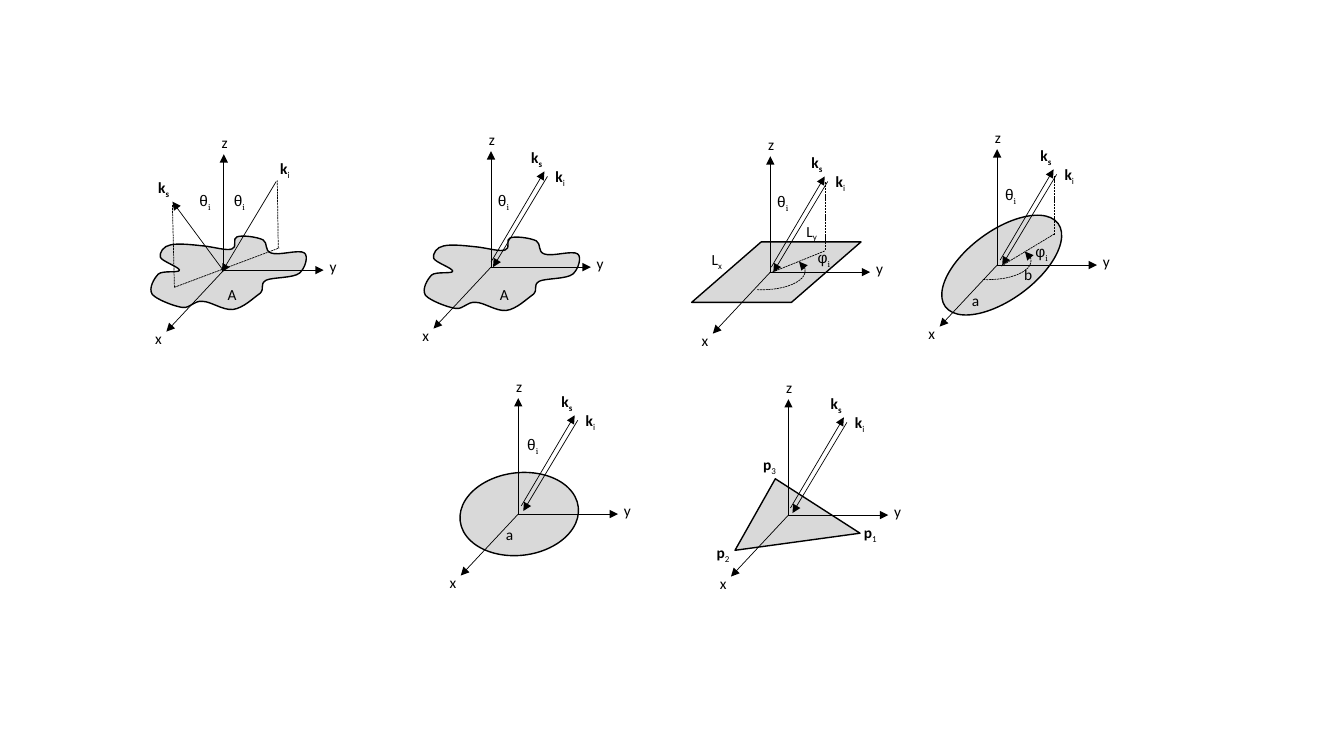
import pptx
import pptx.util
import pptx.dml.color
import pptx.enum.dml
import pptx.enum.shapes
import pptx.enum.text
import pptx.oxml
import pptx.oxml.ns
from pptx.util import Inches

BLACK = pptx.dml.color.RGBColor(0x00, 0x00, 0x00)
GREY = pptx.dml.color.RGBColor(0xD9, 0xD9, 0xD9)
SHAPES = pptx.enum.shapes.MSO_SHAPE
NS = pptx.oxml.ns.nsdecls("a")
GREEK = "θφ"
WIDTHS = {"x": 0.38, "y": 0.35, "z": 0.46, "k": 0.35, "θ": 0.48, "φ": 0.48,
          "A": 0.54, "a": 0.62, "b": 0.62, "L": 0.62, "p": 0.61}
BLOB_CURVES = [
    ((1.13, 0.52), (1.07, 0.48), (1.14, 0.44)),
    ((1.20, 0.41), (1.41, 0.42), (1.47, 0.37)),
    ((1.53, 0.32), (1.56, 0.20), (1.52, 0.17)),
    ((1.47, 0.13), (1.26, 0.20), (1.19, 0.17)),
    ((1.12, 0.15), (1.16, 0.07), (1.11, 0.04)),
    ((1.05, 0.01), (0.90, -0.01), (0.85, 0.01)),
    ((0.80, 0.02), (0.86, 0.12), (0.80, 0.13)),
    ((0.75, 0.15), (0.62, 0.11), (0.52, 0.10)),
    ((0.42, 0.09), (0.27, 0.07), (0.19, 0.09)),
    ((0.12, 0.10), (0.08, 0.17), (0.09, 0.21)),
    ((0.10, 0.25), (0.28, 0.31), (0.28, 0.34)),
    ((0.28, 0.37), (0.11, 0.34), (0.07, 0.38)),
    ((0.03, 0.42), (-0.03, 0.52), (0.01, 0.58)),
    ((0.05, 0.63), (0.23, 0.70), (0.31, 0.71)),
    ((0.39, 0.72), (0.42, 0.64), (0.51, 0.65)),
    ((0.59, 0.65), (0.71, 0.74), (0.81, 0.73)),
    ((0.91, 0.72), (1.02, 0.61), (1.08, 0.57)),
]


def style_line(line, width, dashed=False, arrow=None):
    """Set a black line with an optional dash and arrowhead."""
    line.color.rgb = BLACK
    line.width = pptx.util.Pt(width)
    if dashed:
        line.dash_style = pptx.enum.dml.MSO_LINE.SQUARE_DOT
    if arrow:
        ln = line._get_or_add_ln()
        ln.append(pptx.oxml.parse_xml(f'<a:{arrow} {NS} type="triangle"/>'))


def add_line(s, start, end, dashed=False, arrow=None):
    """Draw a thin straight line between two points."""
    c = s.shapes.add_connector(pptx.enum.shapes.MSO_CONNECTOR.STRAIGHT,
                               *(Inches(v) for v in (*start, *end)))
    style_line(c.line, 0.5, dashed, arrow)
    c._element.spPr.append(pptx.oxml.parse_xml(f'<a:effectLst {NS}/>'))


def add_label(s, x, y, letter, sub="", sub_bold=False):
    """Write a letter with an optional subscript."""
    sp = s.shapes.add_textbox(*(Inches(v) for v in (x, y, WIDTHS[letter], 0.29)))
    tf = sp.text_frame
    tf.word_wrap = True
    tf.auto_size = pptx.enum.text.MSO_AUTO_SIZE.SHAPE_TO_FIT_TEXT
    p = tf.paragraphs[0]
    p.font.size = pptx.util.Pt(11)
    p.font.color.rgb = BLACK
    r = p.add_run()
    r.text = letter
    r.font.name = "Arial" if letter in GREEK else "Calibri"
    r.font.bold = letter in "kp"
    if sub:
        r = p.add_run()
        r.text = sub
        r.font.name = "Cambria" if letter in GREEK else "Calibri"
        r.font.bold = sub_bold
        r._r.get_or_add_rPr().set("baseline", "-25000")


def fill_surface(sp):
    """Give a surface its grey fill and black outline."""
    sp.shadow.inherit = False
    sp.fill.solid()
    sp.fill.fore_color.rgb = GREY
    style_line(sp.line, 1)


def add_surface(s, kind, box, rotation=0):
    """Draw a preset surface and return it."""
    sp = s.shapes.add_shape(kind, *(Inches(v) for v in box))
    sp.rotation = rotation
    fill_surface(sp)
    return sp


def add_outline(s, points):
    """Draw a closed surface through the given points and return it."""
    corners = [(Inches(x), Inches(y)) for x, y in points]
    fb = s.shapes.build_freeform(*corners[0])
    fb.add_line_segments(corners[1:], close=True)
    sp = fb.convert_to_shape()
    fill_surface(sp)
    return sp


def add_blob(s, left, top):
    """Draw the irregular plate from its cubic curves."""
    curves = [[(left + x, top + y) for x, y in curve] for curve in BLOB_CURVES]
    ends = [curve[-1] for curve in curves]
    sp = add_outline(s, [ends[-1], *ends])
    segments = list(sp._element.iter(pptx.oxml.ns.qn("a:lnTo")))
    for segment, curve in zip(segments, curves):
        pts = "".join(f'<a:pt x="{Inches(x) - sp.left}" y="{Inches(y) - sp.top}"/>'
                      for x, y in curve)
        segment.getparent().replace(segment, pptx.oxml.parse_xml(
            f'<a:cubicBezTo {NS}>{pts}</a:cubicBezTo>'))


def add_axes(s, x, y):
    """Draw the x, y and z axes from an origin."""
    for letter, dx, dy, label_dx, label_dy in [
            ("z", 0, -1.15, -0.12, -1.41),
            ("x", -0.57, 0.61, -0.78, 0.54),
            ("y", 0.99, 0, 0.95, -0.18)]:
        add_line(s, (x, y), (x + dx, y + dy), arrow="tailEnd")
        add_label(s, x + label_dx, y + label_dy, letter)


def add_rays(s, x, y):
    """Draw the incident ray from its start and the ray scattered back."""
    add_line(s, (x, y), (x - 0.54, y + 0.9), arrow="tailEnd")
    add_line(s, (x - 0.03, y - 0.05), (x - 0.56, y + 0.85), arrow="headEnd")
    add_label(s, x - 0.02, y - 0.14, "k", "i")
    add_label(s, x - 0.26, y - 0.33, "k", "s", True)


def add_azimuth(s, x, y):
    """Draw the dashed azimuth arc."""
    sp = s.shapes.add_shape(SHAPES.ARC, *(Inches(v) for v in (x, y, 0.37, 0.86)))
    sp.adjustments[0] = 153.42
    sp.adjustments[1] = 9.34
    sp.rotation = 90
    sp.shadow.inherit = False
    sp.fill.background()
    style_line(sp.line, 0.5, True, "headEnd")


def draw_bistatic_plate(s):
    """Draw the plate with separate incident and scattered rays."""
    add_blob(s, 1.5, 2.34)
    add_label(s, 2.16, 2.78, "A")
    add_axes(s, 2.22, 2.68)
    add_line(s, (2.74, 1.8), (2.2, 2.7), arrow="tailEnd")
    add_line(s, (2.22, 2.69), (1.71, 2), arrow="tailEnd")
    add_label(s, 2.68, 1.53, "k", "i")
    add_label(s, 1.47, 1.72, "k", "s", True)
    for x in (2.22, 1.88):
        add_label(s, x, 1.85, "θ", "i")
    for start, end in [((1.73, 2.85), (2.77, 2.46)),
                       ((2.76, 2.46), (2.75, 1.79)),
                       ((1.73, 2.85), (1.71, 2.03))]:
        add_line(s, start, end, dashed=True)


def draw_plate(s):
    """Draw the irregular plate seen along one direction."""
    add_blob(s, 4.21, 2.35)
    add_label(s, 4.86, 2.78, "A")
    add_axes(s, 4.87, 2.65)
    add_rays(s, 5.43, 1.75)
    add_label(s, 4.84, 1.85, "θ", "i")


def draw_rectangle(s):
    """Draw the rectangular plate."""
    sp = add_surface(s, SHAPES.PARALLELOGRAM, (6.86, 2.4, 1.68, 0.6))
    sp.adjustments[0] = 1.15
    add_label(s, 7.61, 1.86, "θ", "i")
    add_label(s, 6.96, 2.43, "L", "x")
    add_label(s, 7.9, 2.15, "L", "y")
    add_axes(s, 7.64, 2.7)
    add_rays(s, 8.21, 1.8)
    add_line(s, (7.66, 2.7), (8.18, 2.49), dashed=True)
    add_line(s, (8.19, 2.48), (8.19, 1.81), dashed=True)
    add_label(s, 8.01, 2.41, "φ", "i")
    add_azimuth(s, 7.37, 2.26)


def draw_ellipse(s):
    """Draw the elliptical plate."""
    add_surface(s, SHAPES.OVAL, (9.24, 2.29, 1.39, 0.68), 323.6)
    add_axes(s, 9.89, 2.63)
    add_label(s, 9.54, 2.84, "a")
    add_label(s, 10.06, 2.58, "b")
    add_rays(s, 10.48, 1.73)
    add_label(s, 9.87, 1.79, "θ", "i")
    add_line(s, (9.93, 2.64), (10.46, 2.32), dashed=True)
    add_line(s, (10.46, 2.33), (10.46, 1.75), dashed=True)
    add_label(s, 10.17, 2.35, "φ", "i")
    add_azimuth(s, 9.61, 2.16)


def draw_disc(s):
    """Draw the circular plate."""
    add_surface(s, SHAPES.OVAL, (4.56, 4.69, 1.18, 0.82), 353.2)
    add_axes(s, 5.14, 5.1)
    add_label(s, 4.92, 5.16, "a")
    add_rays(s, 5.73, 4.17)
    add_label(s, 5.13, 4.27, "θ", "i")


def draw_triangle(s):
    """Draw the triangular plate."""
    add_outline(s, [(7.69, 4.75), (8.53, 5.29), (7.29, 5.46)])
    for x, y, sub in [(8.47, 5.14, "1"), (7.01, 5.34, "2"), (7.47, 4.47, "3")]:
        add_label(s, x, y, "p", sub)
    add_axes(s, 7.82, 5.11)
    add_rays(s, 8.4, 4.19)


def main():
    """Build the slide and save it."""
    prs = pptx.Presentation()
    prs.slide_width, prs.slide_height = Inches(13.33), Inches(7.5)
    s = prs.slides.add_slide(prs.slide_layouts[6])
    for draw in (draw_plate, draw_disc, draw_triangle, draw_rectangle,
                 draw_ellipse, draw_bistatic_plate):
        draw(s)
    prs.save("out.pptx")


if __name__ == "__main__":
    main()
